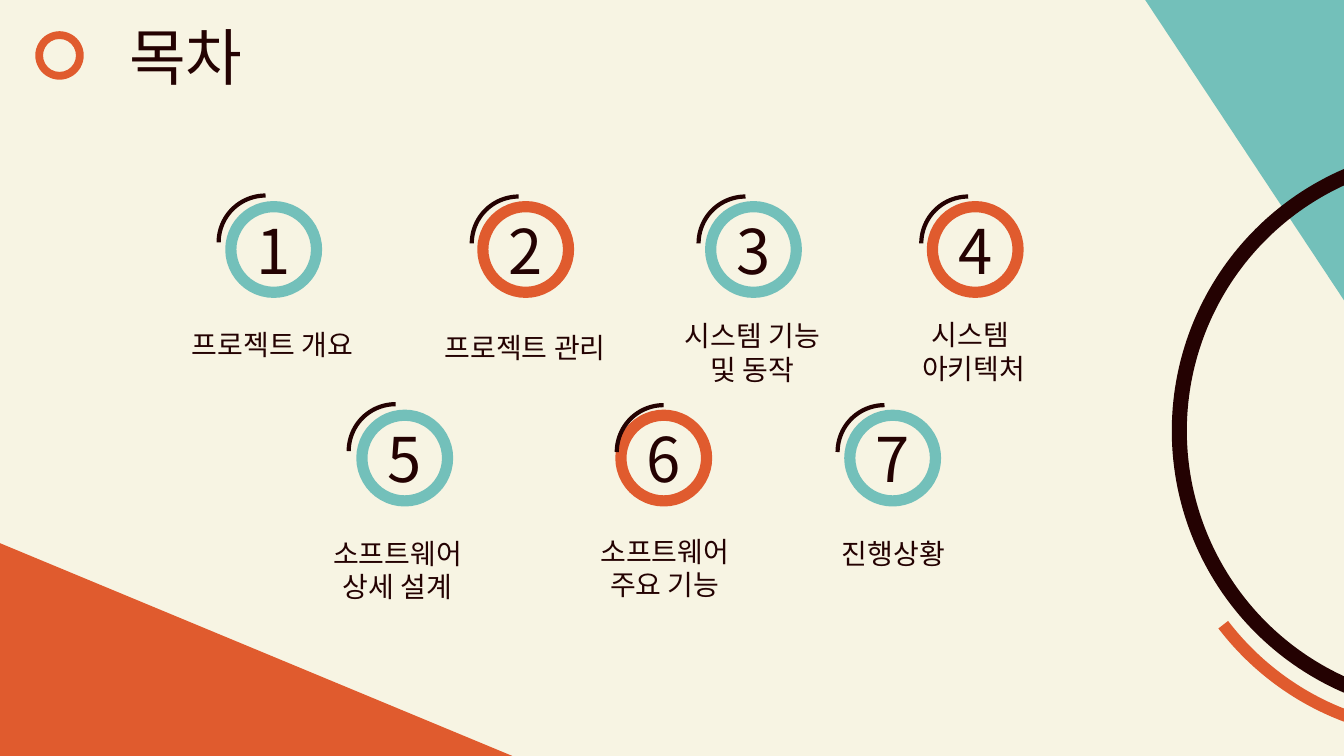
from dataclasses import dataclass
from lxml.etree import SubElement
from pptx import Presentation
from pptx.dml.color import RGBColor
from pptx.enum.shapes import MSO_SHAPE
from pptx.enum.text import MSO_ANCHOR, MSO_AUTO_SIZE, PP_ALIGN
from pptx.oxml.ns import qn
from pptx.shapes.autoshape import Shape
from pptx.slide import Slide
from pptx.text.text import TextFrame
from pptx.util import Pt

FONT = "Noto Sans CJK KR"
CREAM, TEAL, ORANGE, DARK = "F7F4E3", "73C0BA", "E05B2E", "240202"
RING_SIZE, ACCENT_SIZE = 61.2, 67
LABEL_HEIGHTS = {1: 31.5, 2: 55.7}


@dataclass(frozen=True)
class Arc:
    left: float
    top: float
    size: float
    start: float
    end: float
    color: str
    weight: float


@dataclass(frozen=True)
class Topic:
    label: str
    lines: int
    ring_left: float
    ring_top: float
    accent_left: float
    accent_top: float
    label_left: float
    label_top: float
    label_width: float


TOPICS = [
    Topic("프로젝트 개요", 1, 164.9, 147.6, 156.2, 139.7, 123.8, 230.4, 141.8),
    Topic("프로젝트 관리", 1, 344.9, 147.6, 337, 140.4, 298.1, 232.6, 154.1),
    Topic("시스템 기능 및 동작", 2, 507.6, 147.6, 499, 140.4, 472.3, 223.9, 130.3),
    Topic("시스템 \n아키텍처", 2, 666, 147.6, 658.1, 140.4, 624.2, 223.2, 142.6),
    Topic("소프트웨어 상세 설계", 2, 258.5, 296.6, 249.1, 288.7, 221.8, 379.4, 124.6),
    Topic("소프트웨어 주요 기능", 2, 443.5, 296.6, 440.6, 289.4, 406.1, 378, 137.5),
    Topic("진행상황", 1, 607, 296.6, 598.3, 289.4, 573.1, 379.4, 130.3),
]

LARGE_ARCS = [
    Arc(842.4, 109.4, 396.7, 111, 248.4, DARK, 10.75),
    Arc(833, 127.4, 396.7, 110.2, 142.6, ORANGE, 8.75),
]


def rgb(value: str) -> RGBColor:
    return RGBColor.from_string(value)


def write(frame: TextFrame, text: str, size: float, wrap: bool = True) -> None:
    frame.text = text
    frame.word_wrap = wrap
    frame.auto_size = MSO_AUTO_SIZE.NONE
    for paragraph in frame.paragraphs:
        paragraph.alignment = PP_ALIGN.CENTER
        for run in paragraph.runs:
            run.font.size = Pt(size)
            run.font.color.rgb = rgb(DARK)
            run.font.name = FONT
            SubElement(run.font._element, qn("a:ea"), typeface=FONT)


def add_filled(slide: Slide, kind: MSO_SHAPE, left: float, top: float,
               width: float, height: float, color: str) -> Shape:
    shape = slide.shapes.add_shape(kind, Pt(left), Pt(top), Pt(width), Pt(height))
    shape.shadow.inherit = False
    shape.fill.solid()
    shape.fill.fore_color.rgb = rgb(color)
    shape.line.fill.background()
    return shape


def add_outlined(slide: Slide, kind: MSO_SHAPE, left: float, top: float,
                 size: float, color: str, weight: float) -> Shape:
    shape = slide.shapes.add_shape(kind, Pt(left), Pt(top), Pt(size), Pt(size))
    shape.shadow.inherit = False
    shape.fill.background()
    shape.line.color.rgb = rgb(color)
    shape.line.width = Pt(weight)
    return shape


def add_arc(slide: Slide, arc: Arc) -> None:
    curve = add_outlined(slide, MSO_SHAPE.ARC, arc.left, arc.top, arc.size,
                         arc.color, arc.weight)
    for index, degrees in enumerate((arc.start, arc.end)):
        curve.adjustments[index] = degrees * 0.6


def add_topic(slide: Slide, number: int, topic: Topic) -> None:
    ring = add_outlined(slide, MSO_SHAPE.OVAL, topic.ring_left, topic.ring_top,
                        RING_SIZE, TEAL if number % 2 else ORANGE, 8)
    frame = ring.text_frame
    frame.margin_left = frame.margin_right = frame.margin_top = frame.margin_bottom = 0
    frame.vertical_anchor = MSO_ANCHOR.MIDDLE
    write(frame, str(number), 44, wrap=False)
    add_arc(slide, Arc(topic.accent_left, topic.accent_top, ACCENT_SIZE,
                       180, 270, DARK, 3))
    label = slide.shapes.add_textbox(Pt(topic.label_left), Pt(topic.label_top),
                                     Pt(topic.label_width),
                                     Pt(LABEL_HEIGHTS[topic.lines]))
    write(label.text_frame, topic.label, 20)


def add_heading(slide: Slide) -> None:
    heading = slide.shapes.title
    heading.left, heading.top = Pt(43.9), Pt(9.4)
    heading.width, heading.height = Pt(177.8), Pt(60.5)
    write(heading.text_frame, "목차", 44)
    bullet = add_filled(slide, MSO_SHAPE.DONUT, 25.2, 22.3, 34.6, 34.6, ORANGE)
    bullet.adjustments[0] = 0.16


def main() -> None:
    deck = Presentation()
    deck.slide_width, deck.slide_height = Pt(960), Pt(540)
    slide = deck.slides.add_slide(deck.slide_layouts[5])
    slide.background.fill.solid()
    slide.background.fill.fore_color.rgb = rgb(CREAM)

    add_filled(slide, MSO_SHAPE.RIGHT_TRIANGLE, 0, 388, 366, 152, ORANGE)
    corner = add_filled(slide, MSO_SHAPE.RIGHT_TRIANGLE, 818, 0, 142, 214.5, TEAL)
    corner.rotation = 180
    for arc in LARGE_ARCS:
        add_arc(slide, arc)
    add_heading(slide)
    for number, topic in enumerate(TOPICS, start=1):
        add_topic(slide, number, topic)
    deck.save("out.pptx")


if __name__ == "__main__":
    main()
